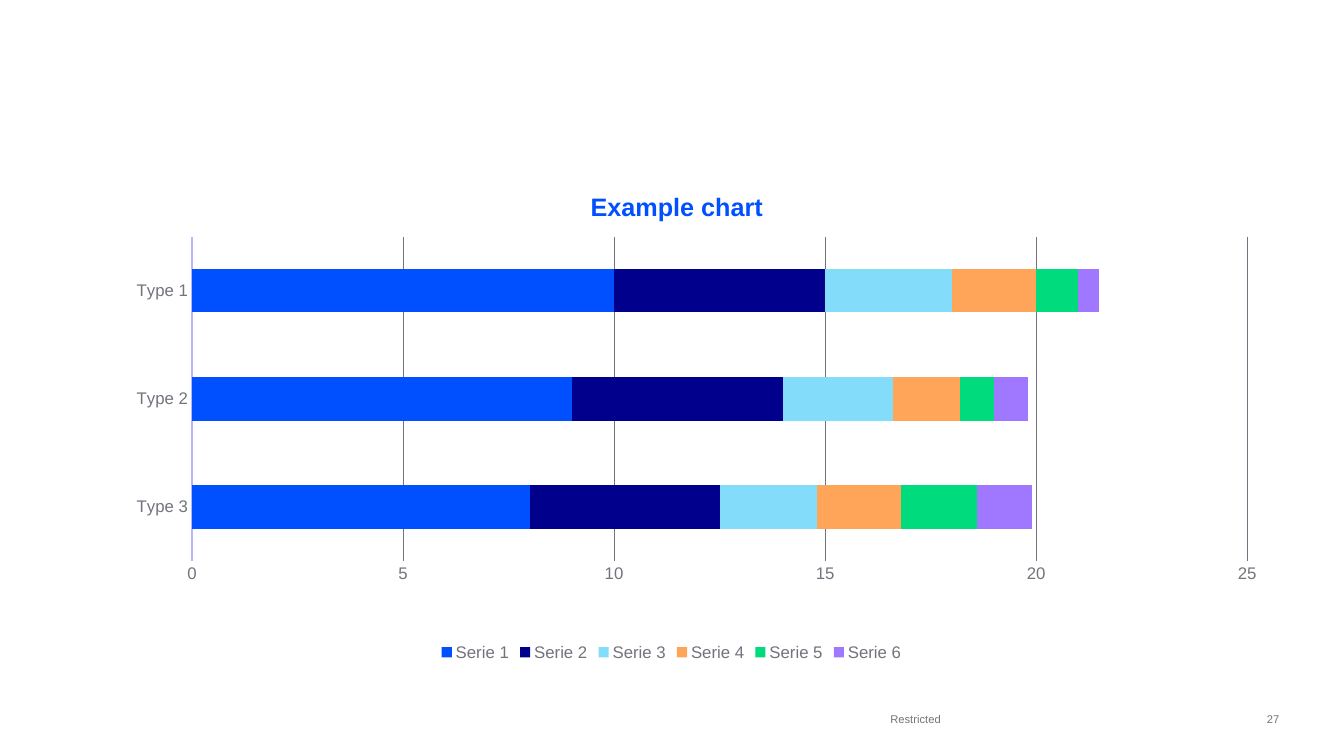
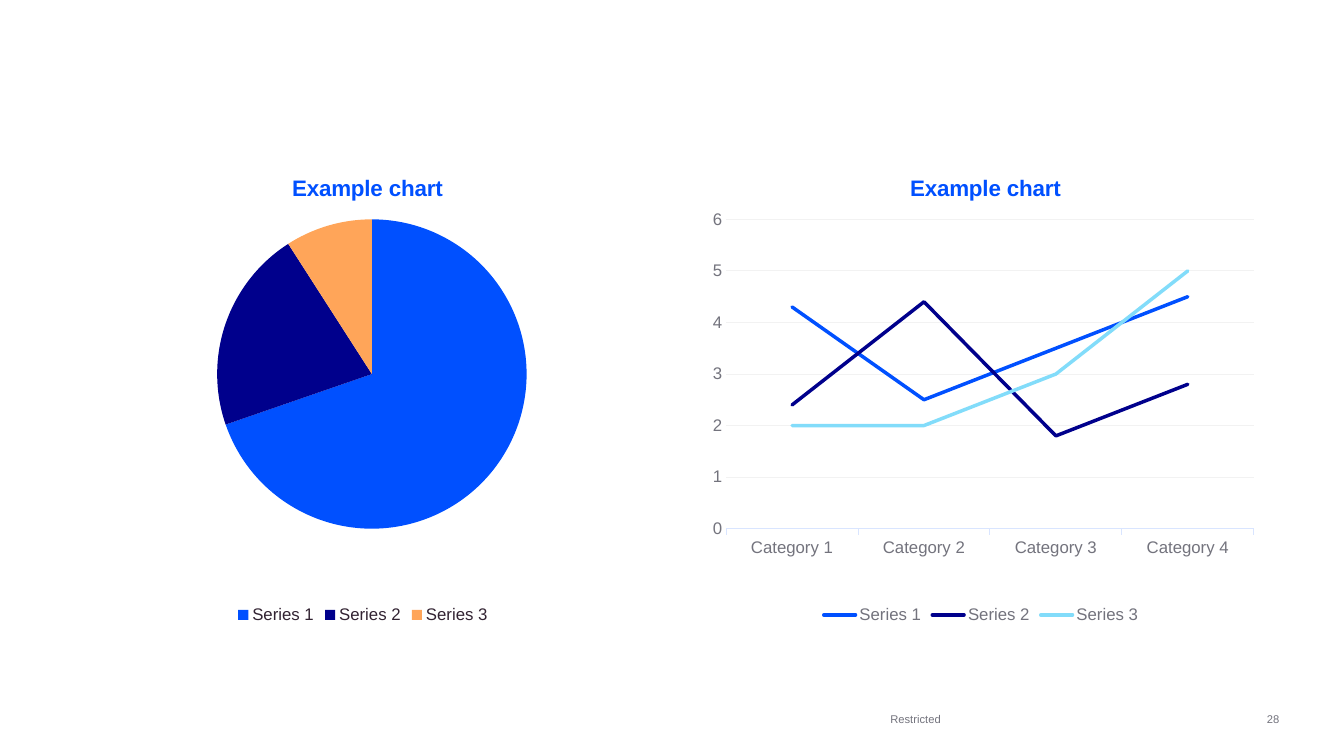
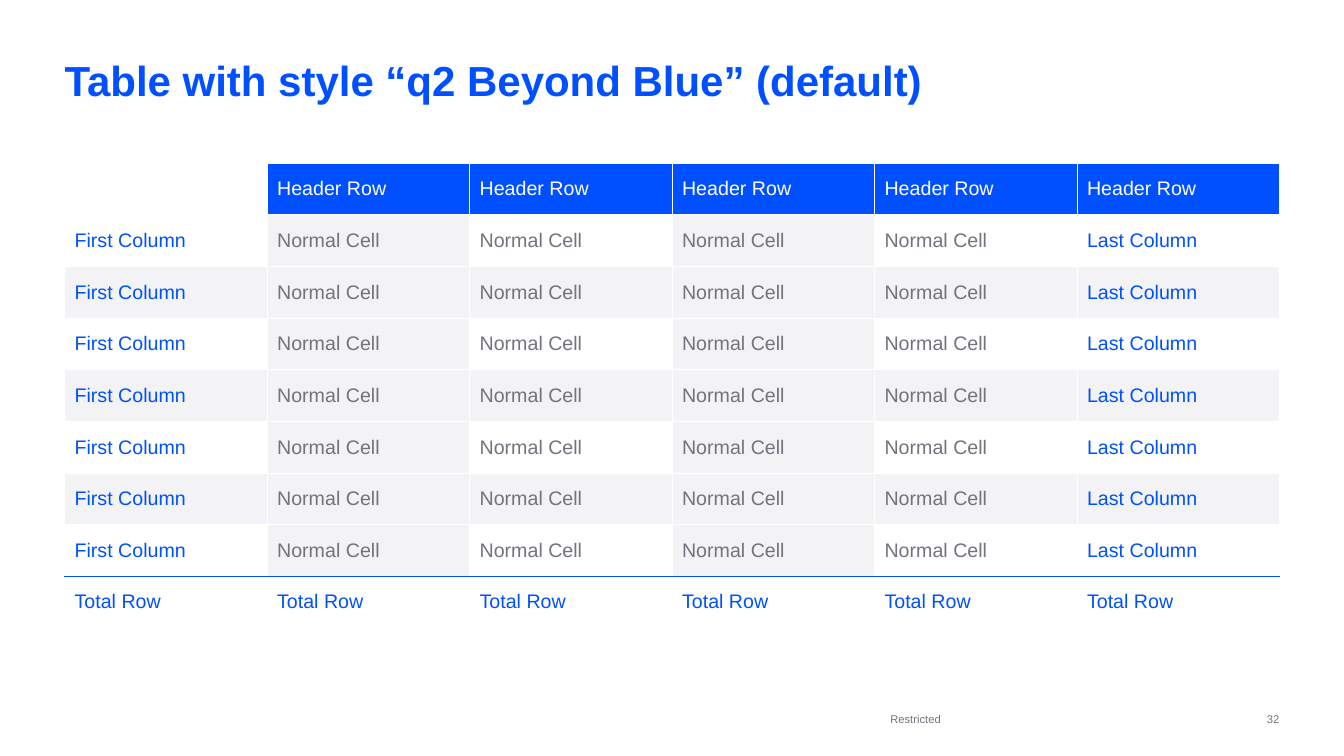
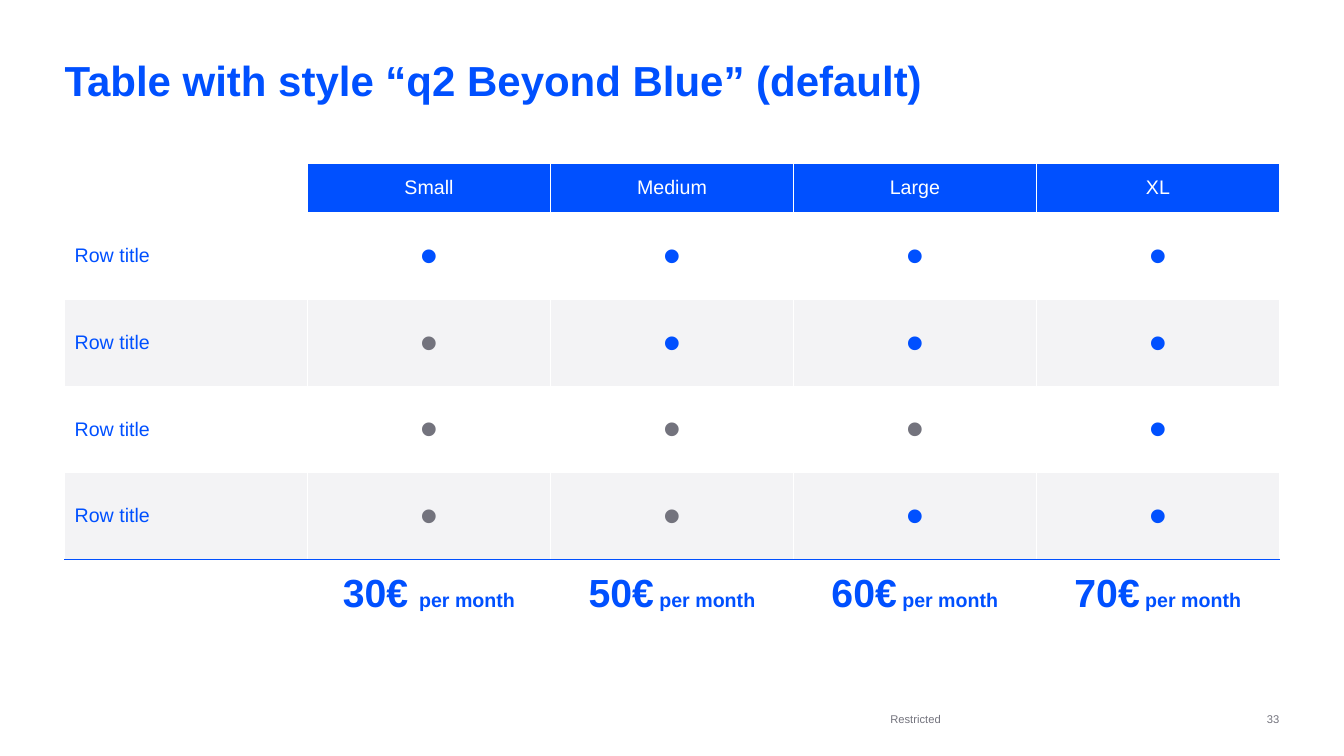
from dataclasses import dataclass
from typing import Optional

import lxml.etree
import pptx
import pptx.chart.data
import pptx.dml.color
import pptx.enum.chart
import pptx.enum.text
import pptx.oxml.ns
import pptx.util

Inches = pptx.util.Inches
Pt = pptx.util.Pt
qn = pptx.oxml.ns.qn
ChartType = pptx.enum.chart.XL_CHART_TYPE
Align = pptx.enum.text.PP_ALIGN
Anchor = pptx.enum.text.MSO_ANCHOR

# Shared look
COLORS = {
    "blue": "0050FF", "navy": "00008C", "sky": "82DCFA", "orange": "FFA559",
    "green": "00DC7D", "violet": "A078FF", "gray": "73737D", "pale": "F3F3F5",
    "white": "FFFFFF", "plum": "322332", "lilac_line": "B7B7FF",
    "blue_line": "D9E5FF", "gray_line": "F2F2F2",
}
FONT = "Arial"
TABLE_TITLE = "Table with style “q2 Beyond Blue” (default)"
TABLE_LEFT, TABLE_TOP, TABLE_WIDTH, TABLE_HEIGHT = 0.64, 1.62, 12.05, 4.61
BLANK_LAYOUT, TITLE_LAYOUT = 6, 5


@dataclass
class Series:
    name: str
    values: list[float]
    color: str


@dataclass
class ChartSpec:
    kind: ChartType
    area: tuple[float, float, float, float]
    title_size: int
    title_left: float
    plot: tuple[float, float, float, float]
    categories: list[str]
    series: list[Series]
    legend_color: str = "gray"


@dataclass
class Span:
    text: str
    size: int = 14
    bold: bool = False


@dataclass
class Cell:
    spans: list[Span]
    color: str = "blue"
    fill: str = "white"
    align: Align = Align.LEFT


def rgb(name: str) -> pptx.dml.color.RGBColor:
    return pptx.dml.color.RGBColor.from_string(COLORS[name])


def style_font(font, size: int, color: str, bold: bool = False) -> None:
    font.name, font.size, font.bold = FONT, Pt(size), bold
    font.color.rgb = rgb(color)


# Page furniture
def add_footer_text(page, left: float, width: float, text: str, align: Align) -> None:
    box = page.shapes.add_textbox(Inches(left), Inches(7.03), Inches(width), Inches(0.21))
    frame = box.text_frame
    frame.margin_left = frame.margin_right = frame.margin_top = frame.margin_bottom = 0
    frame.word_wrap = False
    frame.vertical_anchor = Anchor.MIDDLE
    para = frame.paragraphs[0]
    para.text, para.alignment = text, align
    para.space_after = Pt(6)
    style_font(para.font, 8, "gray")


def add_page(deck, number: int, title: Optional[str] = None):
    layout = BLANK_LAYOUT if title is None else TITLE_LAYOUT
    page = deck.slides.add_slide(deck.slide_layouts[layout])
    if title is not None:
        box = page.shapes.title
        box.left, box.top = Inches(0.64), Inches(0.6)
        box.width, box.height = Inches(11.5), Inches(0.51)
        frame = box.text_frame
        frame.margin_left = frame.margin_right = frame.margin_top = frame.margin_bottom = 0
        frame.auto_size = pptx.enum.text.MSO_AUTO_SIZE.NONE
        frame.vertical_anchor = Anchor.TOP
        para = frame.paragraphs[0]
        para.text, para.alignment, para.line_spacing = title, Align.LEFT, 0.9
        style_font(para.font, 30, "blue", bold=True)
    add_footer_text(page, 8.83, 3.31, "Restricted", Align.LEFT)
    add_footer_text(page, 12.14, 0.55, str(number), Align.RIGHT)
    return page


# Charts
def set_layout(parent, index: int, settings: dict[str, object]) -> None:
    """Place a chart part by fractions of the chart area."""
    old = parent.find(qn("c:layout"))
    if old is not None:
        parent.remove(old)
    layout = lxml.etree.Element(qn("c:layout"))
    manual = lxml.etree.SubElement(layout, qn("c:manualLayout"))
    for key, value in settings.items():
        lxml.etree.SubElement(manual, qn(f"c:{key}")).set("val", str(value))
    parent.insert(index, layout)


def add_chart(page, spec: ChartSpec):
    data = pptx.chart.data.CategoryChartData()
    data.categories = spec.categories
    for series in spec.series:
        data.add_series(series.name, series.values)
    area = [Inches(length) for length in spec.area]
    chart = page.shapes.add_chart(spec.kind, *area, data).chart
    style_font(chart.font, 12, "gray")

    chart.has_title = True
    para = chart.chart_title.text_frame.paragraphs[0]
    para.text = "Example chart"
    style_font(para.font, spec.title_size, "blue", bold=True)
    set_layout(chart.chart_title._element, 1, {
        "xMode": "edge", "yMode": "edge", "x": spec.title_left, "y": 0.04})

    chart.has_legend = True
    chart.legend.position = pptx.enum.chart.XL_LEGEND_POSITION.BOTTOM
    chart.legend.include_in_layout = False
    style_font(chart.legend.font, 12, spec.legend_color)

    left, top, width, height = spec.plot
    set_layout(chart._chartSpace.chart.plotArea, 0, {
        "layoutTarget": "inner", "xMode": "edge", "yMode": "edge",
        "x": left, "y": top, "w": width, "h": height})
    return chart


def style_axes(chart, maximum: float, unit: float, axis_line: str, grid: str, tick) -> None:
    none = pptx.enum.chart.XL_TICK_MARK.NONE
    for axis in (chart.category_axis, chart.value_axis):
        style_font(axis.tick_labels.font, 12, "gray")
        axis.major_tick_mark = axis.minor_tick_mark = none
    chart.category_axis.major_tick_mark = tick
    line = chart.category_axis.format.line
    line.color.rgb, line.width = rgb(axis_line), Pt(0.75)
    values = chart.value_axis
    values.minimum_scale, values.maximum_scale, values.major_unit = 0, maximum, unit
    values.format.line.fill.background()
    values.has_major_gridlines = True
    grid_line = values.major_gridlines.format.line
    grid_line.color.rgb, grid_line.width = rgb(grid), Pt(0.75)


def paint(item, color: str) -> None:
    item.format.fill.solid()
    item.format.fill.fore_color.rgb = rgb(color)


def add_bar_chart(page, spec: ChartSpec) -> None:
    chart = add_chart(page, spec)
    style_axes(chart, 25, 5, "lilac_line", "gray", pptx.enum.chart.XL_TICK_MARK.NONE)
    plot = chart.plots[0]
    plot.gap_width, plot.overlap, plot.vary_by_categories = 150, 100, False
    for bar, series in zip(plot.series, spec.series):
        paint(bar, series.color)


def add_pie_chart(page, spec: ChartSpec, slice_colors: list[str]) -> None:
    plot = add_chart(page, spec).plots[0]
    plot.vary_by_categories = True
    for index, color in enumerate(slice_colors):
        paint(plot.series[0].points[index], color)


def add_line_chart(page, spec: ChartSpec) -> None:
    chart = add_chart(page, spec)
    style_axes(chart, 6, 1, "blue_line", "gray_line", pptx.enum.chart.XL_TICK_MARK.OUTSIDE)
    plot = chart.plots[0]
    plot.vary_by_categories = False
    for curve, series in zip(plot.series, spec.series):
        curve.smooth = False
        line = curve.format.line
        line.color.rgb, line.width = rgb(series.color), Pt(2.5)
        curve._element.find(".//" + qn("a:ln")).set("cap", "rnd")


# Tables
def set_borders(cell, top: str, bottom: str) -> None:
    properties = cell._tc.get_or_add_tcPr()
    for side, color in (("L", "white"), ("R", "white"), ("T", top), ("B", bottom)):
        line = lxml.etree.SubElement(properties, qn(f"a:ln{side}"), w=str(Pt(0.75)))
        fill = lxml.etree.SubElement(line, qn("a:solidFill"))
        lxml.etree.SubElement(fill, qn("a:srgbClr"), val=COLORS[color])


def fill_cell(target, cell: Cell) -> None:
    target.fill.solid()
    target.fill.fore_color.rgb = rgb(cell.fill)
    target.vertical_anchor = Anchor.MIDDLE
    para = target.text_frame.paragraphs[0]
    para.alignment, para.space_after = cell.align, Pt(6)
    for span in cell.spans:
        run = para.add_run()
        run.text = span.text
        style_font(run.font, span.size, cell.color, span.bold)


def add_table(page, rows: list[list[Cell]], heights: list[float]) -> None:
    """Draw the rows; a blue rule sets off the last one."""
    count = len(rows[0])
    table = page.shapes.add_table(
        len(rows), count, Inches(TABLE_LEFT), Inches(TABLE_TOP),
        Inches(TABLE_WIDTH), Inches(TABLE_HEIGHT)).table
    table.first_row = table.horz_banding = False
    for column in table.columns:
        column.width = Inches(TABLE_WIDTH / count)
    last = len(rows) - 1
    for row_index, (row, height) in enumerate(zip(rows, heights)):
        table.rows[row_index].height = Inches(height)
        top = "blue" if row_index == last else "white"
        bottom = "blue" if row_index == last - 1 else "white"
        for column_index, cell in enumerate(row):
            target = table.cell(row_index, column_index)
            set_borders(target, top, bottom)
            fill_cell(target, cell)


def header_row(labels: list[str], align: Align) -> list[Cell]:
    return [Cell([])] + [Cell([Span(label)], "white", "blue", align) for label in labels]


def style_sample_rows() -> list[list[Cell]]:
    rows = [header_row(["Header Row"] * 5, Align.LEFT)]
    labels = ["First Column"] + ["Normal Cell"] * 4 + ["Last Column"]
    for row in range(7):
        cells = []
        for column, label in enumerate(labels):
            banded = row % 2 == 1 or column in (1, 3)
            color = "gray" if label == "Normal Cell" else "blue"
            cells.append(Cell([Span(label)], color, "pale" if banded else "white"))
        rows.append(cells)
    rows.append([Cell([Span("Total Row")]) for _ in labels])
    return rows


def price_rows() -> list[list[Cell]]:
    plans = ["Small", "Medium", "Large", "XL"]
    first_plan_included = [0, 1, 3, 2]
    prices = [("30€ ", "per month"), ("50€", " per month"),
              ("60€", " per month"), ("70€", " per month")]
    rows = [header_row(plans, Align.CENTER)]
    for row, first in enumerate(first_plan_included):
        fill = "pale" if row % 2 else "white"
        dots = [Cell([Span("•", 36)], "blue" if plan >= first else "gray", fill, Align.CENTER)
                for plan in range(len(plans))]
        rows.append([Cell([Span("Row title")], fill=fill)] + dots)
    rows.append([Cell([])] + [
        Cell([Span(price, 28, True), Span(period, 14, True)], align=Align.CENTER)
        for price, period in prices])
    return rows


def main() -> None:
    deck = pptx.Presentation()
    deck.slide_width, deck.slide_height = Inches(13.33), Inches(7.5)

    # Stacked bars
    page = add_page(deck, 27)
    add_bar_chart(page, ChartSpec(
        ChartType.BAR_STACKED, (0.61, 1.64, 12.1, 4.96), 18, 0.43,
        (0.107, 0.143, 0.865, 0.649), ["Type 3", "Type 2", "Type 1"], [
            Series("Serie 1", [8, 9, 10], "blue"),
            Series("Serie 2", [4.5, 5, 5], "navy"),
            Series("Serie 3", [2.3, 2.6, 3], "sky"),
            Series("Serie 4", [2, 1.6, 2], "orange"),
            Series("Serie 5", [1.8, 0.8, 1], "green"),
            Series("Serie 6", [1.3, 0.8, 0.5], "violet")]))

    # Pie and lines
    page = add_page(deck, 28)
    half_plot = (0.058, 0.143, 0.915, 0.649)
    add_pie_chart(page, ChartSpec(
        ChartType.PIE, (0.74, 1.5, 5.72, 4.73), 16, 0.37, half_plot,
        ["Series 1", "Series 2", "Series 3"],
        [Series("Series 1", [69, 21, 9], "blue")], "plum"), ["blue", "navy", "orange"])
    add_line_chart(page, ChartSpec(
        ChartType.LINE, (6.87, 1.5, 5.72, 4.73), 16, 0.37, half_plot,
        [f"Category {number}" for number in range(1, 5)], [
            Series("Series 1", [4.3, 2.5, 3.5, 4.5], "blue"),
            Series("Series 2", [2.4, 4.4, 1.8, 2.8], "navy"),
            Series("Series 3", [2, 2, 3, 5], "sky")]))

    # Table style sample
    page = add_page(deck, 32, TABLE_TITLE)
    rows = style_sample_rows()
    add_table(page, rows, [TABLE_HEIGHT / len(rows)] * len(rows))

    # Price table
    page = add_page(deck, 33, TABLE_TITLE)
    add_table(page, price_rows(), [0.49] + [0.86] * 4 + [0.69])

    deck.save("out.pptx")


if __name__ == "__main__":
    main()
